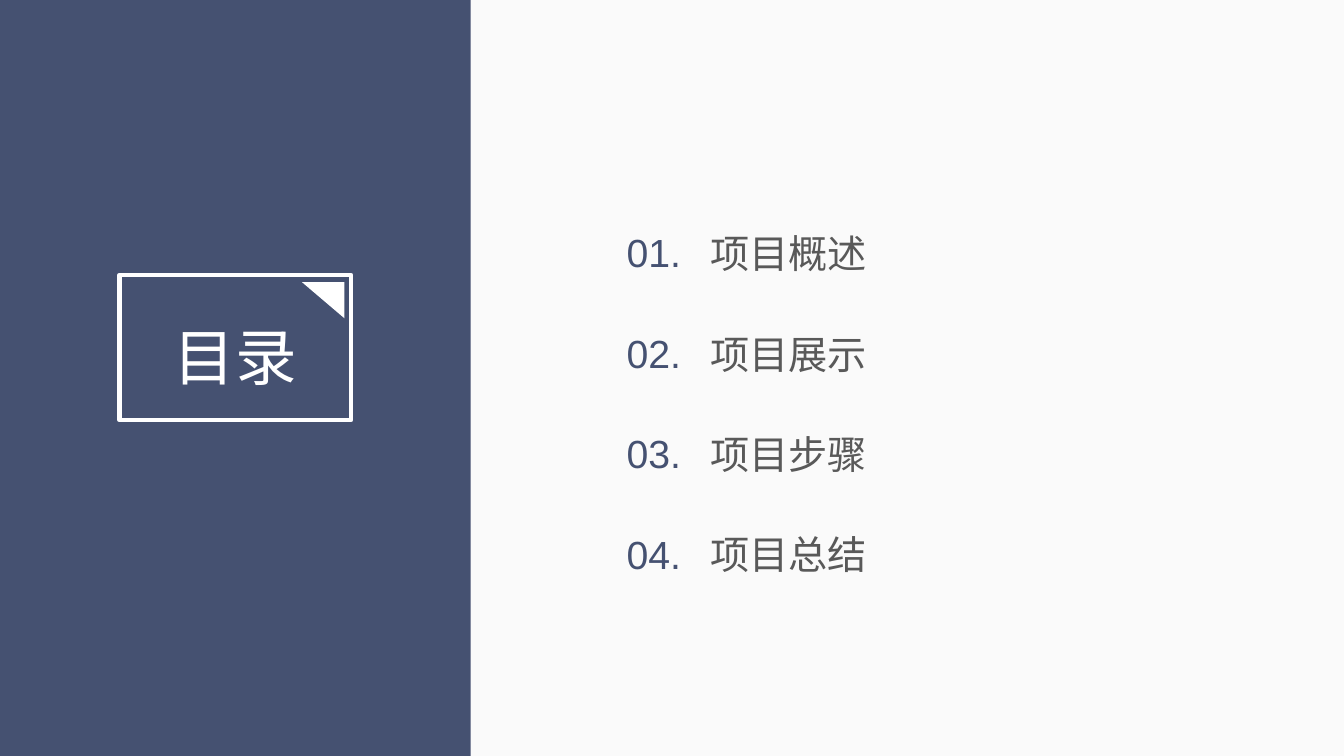
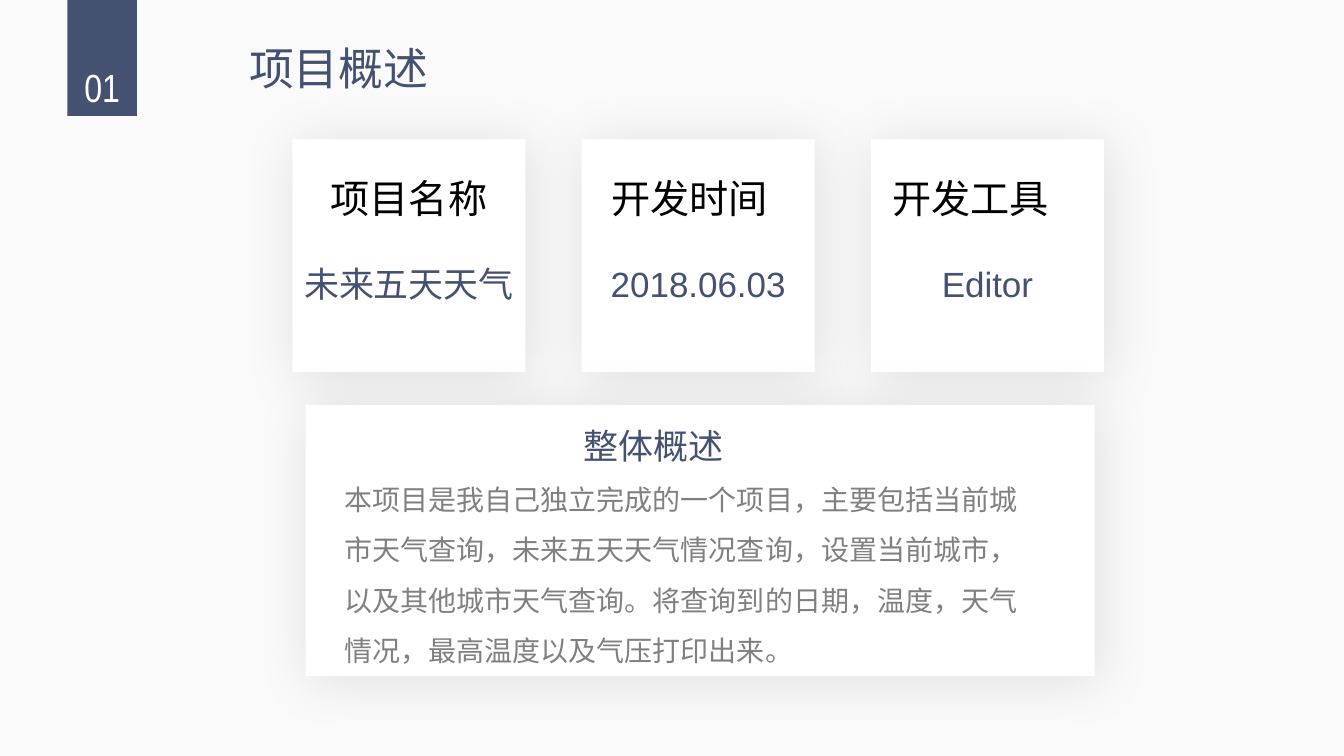
from lxml import etree
from pptx import Presentation
from pptx.dml.color import RGBColor
from pptx.enum.shapes import MSO_SHAPE
from pptx.enum.text import MSO_ANCHOR, PP_ALIGN
from pptx.oxml.ns import qn
from pptx.util import Cm, Pt

RECT, TRIANGLE = MSO_SHAPE.RECTANGLE, MSO_SHAPE.ISOSCELES_TRIANGLE
TOP, MIDDLE, BOTTOM = MSO_ANCHOR.TOP, MSO_ANCHOR.MIDDLE, MSO_ANCHOR.BOTTOM
LEFT, CENTER, RIGHT = PP_ALIGN.LEFT, PP_ALIGN.CENTER, PP_ALIGN.RIGHT

NAVY = RGBColor(0x45, 0x51, 0x71)
WHITE = RGBColor(0xFF, 0xFF, 0xFF)
BLACK = RGBColor(0x00, 0x00, 0x00)
PAPER = RGBColor(0xFA, 0xFA, 0xFA)
DARK_GRAY = RGBColor(0x59, 0x59, 0x59)
MID_GRAY = RGBColor(0x80, 0x80, 0x80)

PAGE_WIDTH, PAGE_HEIGHT = 33.87, 19.05


def add_page(deck):
    page = deck.slides.add_slide(deck.slide_layouts[6])
    page.background.fill.solid()
    page.background.fill.fore_color.rgb = PAPER
    return page


def add_block(page, box, fill=None, line=None, kind=RECT):
    shape = page.shapes.add_shape(kind, *map(Cm, box))
    shape.shadow.inherit = False
    if fill is None:
        shape.fill.background()
    else:
        shape.fill.solid()
        shape.fill.fore_color.rgb = fill
    if line is None:
        shape.line.fill.background()
    else:
        shape.line.color.rgb = line
        shape.line.width = Pt(3)
    return shape


def add_card(page, box):
    card = add_block(page, box, fill=WHITE)
    effects = card._element.spPr.find(qn("a:effectLst"))
    shadow = etree.SubElement(
        effects, qn("a:outerShdw"), blurRad=str(Pt(40)), dist=str(Pt(4)),
        dir=str(45 * 60000), algn="tl", rotWithShape="0")
    color = etree.SubElement(shadow, qn("a:srgbClr"), val=str(BLACK))
    etree.SubElement(color, qn("a:alpha"), val="11000")


def add_text(page, box, text, size=28, color=NAVY, font="Arial",
             align=LEFT, anchor=TOP, spacing=1.0):
    frame = page.shapes.add_textbox(*map(Cm, box)).text_frame
    frame.word_wrap = True
    frame.vertical_anchor = anchor
    para = frame.paragraphs[0]
    para.alignment = align
    para.line_spacing = spacing
    span = para.add_run()
    span.text = text
    span.font.size = Pt(size)
    span.font.name = font
    span.font.color.rgb = color


def add_contents_panel(page, box, title):
    left, top, width, height = box
    add_block(page, box, fill=NAVY)
    frame_width, frame_height = 5.84, 3.66
    frame_left = left + (width - frame_width) / 2
    frame_top = top + 6.93
    add_block(page, (frame_left, frame_top, frame_width, frame_height), line=WHITE)
    corner = add_block(page, (frame_left + 4.6, frame_top + 0.18, 1.07, 0.91),
                       fill=WHITE, kind=TRIANGLE)
    corner.adjustments[0] = 0
    corner.rotation = 180
    add_text(page, (frame_left + 0.35, frame_top + 0.99, frame_width - 0.7, 1.98),
             title, size=44, color=WHITE, align=CENTER)


def add_contents_list(page, box, items):
    left, top, width, height = box
    pitch = height / len(items)
    for index, item in enumerate(items):
        row_top = top + index * pitch
        add_text(page, (left, row_top, 2, 1.45), f"{index + 1:02}.")
        add_text(page, (left + 2.11, row_top + 0.02, width - 2.11, 1.27),
                 item, color=DARK_GRAY)


def add_header(page, box, number, title):
    left, top, width, height = box
    tab_width = 1.75
    add_block(page, (left, top, tab_width, height), fill=NAVY)
    add_text(page, (left, top + height / 2, tab_width, height / 2), number,
             color=WHITE, font="Arial Narrow", align=CENTER)
    add_text(page, (left + 3.84, top + 0.38, width - 3.84, 2.13), title,
             size=32, align=RIGHT, anchor=BOTTOM, spacing=1.3)


def add_fact_cards(page, box, facts):
    left, top, width, side = box
    pitch = (width - side) / (len(facts) - 1)
    heading_pitch = pitch - 0.21
    for index in range(len(facts)):
        add_card(page, (left + index * pitch, top, side, side))
    for index, (heading, value) in enumerate(facts):
        add_text(page, (left + index * heading_pitch, top + 0.91, side, 1.14),
                 heading, color=BLACK, align=CENTER, anchor=MIDDLE)
        add_text(page, (left + index * pitch - 0.18, top + 2.99, side + 0.36, 1.96),
                 value, size=25, align=CENTER)


def add_summary(page, box, heading, body):
    left, top, width, height = box
    add_card(page, box)
    add_text(page, (left + 6.75, top + 0.46, 4.45, 1.12), heading,
             size=25, anchor=MIDDLE)
    add_text(page, (left + 0.73, top + 1.4, width - 2.39, 5.05), body,
             size=20, color=MID_GRAY, spacing=1.5)


def build_contents(deck):
    page = add_page(deck)
    add_contents_panel(page, (0, 0, 11.86, PAGE_HEIGHT), "目录")
    add_contents_list(page, (15.54, 5.64, 10.31, 10.12),
                      ["项目概述", "项目展示", "项目步骤", "项目总结"])


def build_overview(deck):
    page = add_page(deck)
    add_header(page, (1.7, 0, 9.35, 2.92), "01", "项目概述")
    add_fact_cards(page, (7.37, 3.51, 20.45, 5.87), [
        ("项目名称", "未来五天天气"),
        ("开发时间", "2018.06.03"),
        ("开发工具", "Editor"),
    ])
    add_summary(
        page, (7.7, 10.21, 19.89, 6.83), "整体概述",
        "本项目是我自己独立完成的一个项目，主要包括当前城市天气查询，"
        "未来五天天气情况查询，设置当前城市，以及其他城市天气查询。"
        "将查询到的日期，温度，天气情况，最高温度以及气压打印出来。")


deck = Presentation()
deck.slide_width, deck.slide_height = Cm(PAGE_WIDTH), Cm(PAGE_HEIGHT)
build_contents(deck)
build_overview(deck)
deck.save("out.pptx")
